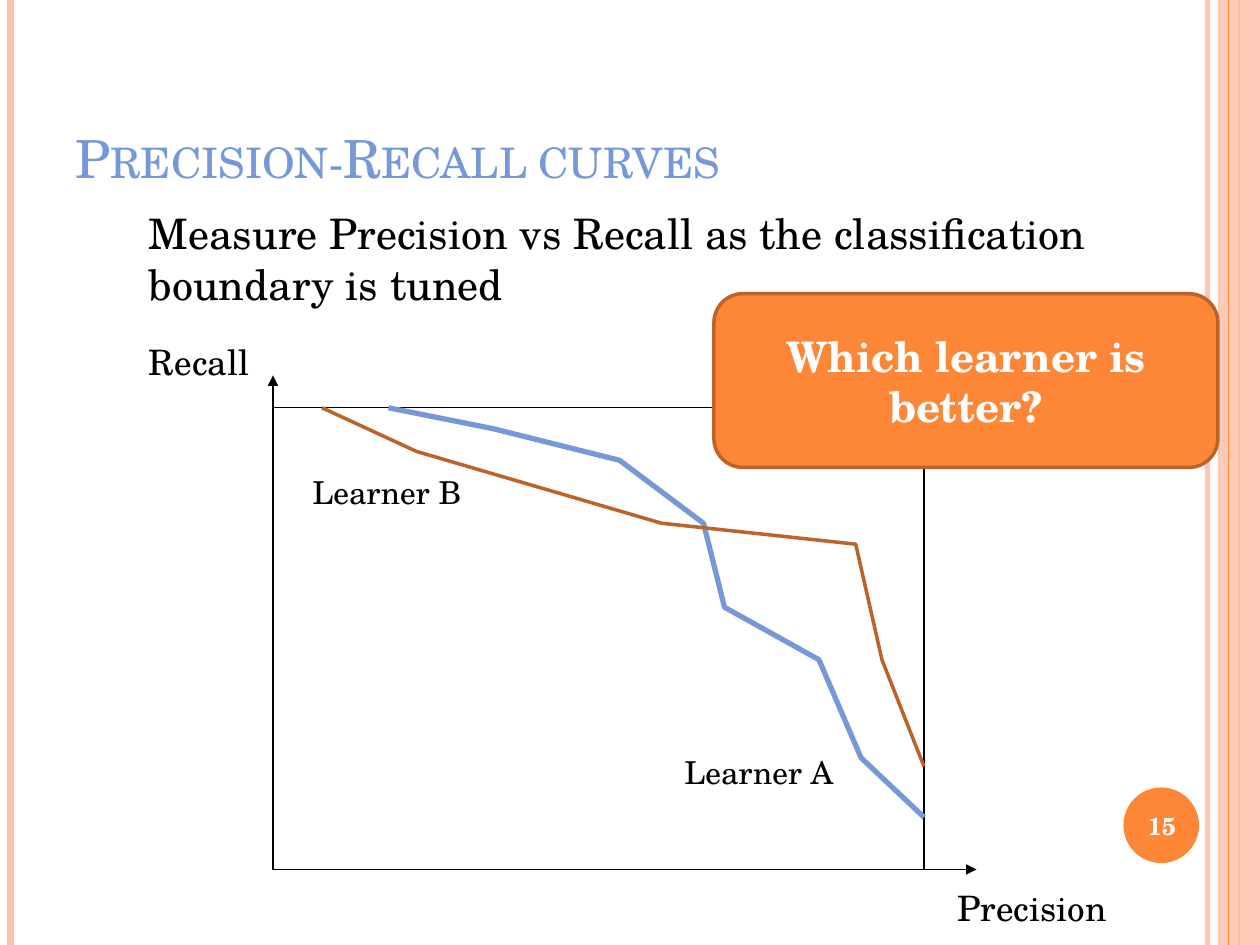
import pptx
import pptx.util
import pptx.dml.color
import pptx.enum.shapes
import pptx.enum.text
import pptx.oxml.ns
import pptx.oxml.xmlchemy

Pt = pptx.util.Pt
RGBColor = pptx.dml.color.RGBColor
MSO_SHAPE = pptx.enum.shapes.MSO_SHAPE
PP_ALIGN = pptx.enum.text.PP_ALIGN
MSO_ANCHOR = pptx.enum.text.MSO_ANCHOR
OxmlElement = pptx.oxml.xmlchemy.OxmlElement
qn = pptx.oxml.ns.qn

FONT = "TeX Gyre Schola"
BLACK = RGBColor(0x00, 0x00, 0x00)
WHITE = RGBColor(0xFF, 0xFF, 0xFF)
BLUE = RGBColor(0x75, 0x98, 0xD9)
ORANGE = RGBColor(0xFE, 0x86, 0x37)
PEACH = RGBColor(0xFE, 0xC3, 0xAE)
BROWN = RGBColor(0xBC, 0x63, 0x29)

presentation = pptx.Presentation()
presentation.slide_width = Pt(720)
presentation.slide_height = Pt(540)
slide = presentation.slides.add_slide(presentation.slide_layouts[5])
shapes = slide.shapes


def add_line(x1, y1, x2, y2, color, width):
    line = shapes.add_connector(
        pptx.enum.shapes.MSO_CONNECTOR.STRAIGHT, Pt(x1), Pt(y1), Pt(x2), Pt(y2))
    line.line.color.rgb = color
    line.line.width = Pt(width)
    line._element.spPr.append(OxmlElement("a:effectLst"))
    return line


def write_text(shape, text, size, color, bold=False, align=PP_ALIGN.LEFT,
               anchor=MSO_ANCHOR.TOP, wrap=True):
    frame = shape.text_frame
    frame.text = text
    frame.word_wrap = wrap
    frame.vertical_anchor = anchor
    paragraph = frame.paragraphs[0]
    paragraph.alignment = align
    font = paragraph.runs[0].font
    font.name, font.size, font.bold = FONT, Pt(size), bold
    font.color.rgb = color


# Side stripes
stripe = add_line(690, 0, 690, 540, PEACH, 3)
add_line(6, 0, 6, 540, PEACH, 4.5)
add_line(708, 0, 708, 540, ORANGE, 1.5)
band = shapes.add_shape(MSO_SHAPE.RECTANGLE, Pt(696), Pt(0), Pt(24), Pt(540))
band.shadow.inherit = False
band.fill.solid()
band.fill.fore_color.rgb = PEACH
band.line.fill.background()
add_line(702, 0, 702, 540, ORANGE, 0.75)

# Stripe transparency
for shape, opacity in ((stripe, 93000), (band, 87000)):
    color_element = next(shape._element.spPr.iter(qn("a:srgbClr")))
    alpha = OxmlElement("a:alpha")
    alpha.set("val", str(opacity))
    color_element.append(alpha)

# Slide number
badge = shapes.add_shape(MSO_SHAPE.OVAL, Pt(642), Pt(450), Pt(43.2), Pt(43.2))
badge.shadow.inherit = False
badge.fill.solid()
badge.fill.fore_color.rgb = ORANGE
badge.line.fill.background()
number = shapes.add_textbox(Pt(640), Pt(451.4), Pt(48), Pt(41))
write_text(number, "15", 14, WHITE, True, PP_ALIGN.CENTER, MSO_ANCHOR.MIDDLE)

# Title in small capitals
title = shapes.title
title.left, title.top, title.width, title.height = Pt(36), Pt(21.6), Pt(588), Pt(90)
write_text(title, "Precision-Recall curves", 30, BLUE, anchor=MSO_ANCHOR.BOTTOM)
title.text_frame.auto_size = pptx.enum.text.MSO_AUTO_SIZE.NONE
title.text_frame.paragraphs[0].runs[0]._r.get_or_add_rPr().set("cap", "small")

# Axes and plot frame
for x, y in ((558, 496.8), (156, 214.5)):
    axis = add_line(156, 496.8, x, y, BLACK, 0.75)
    arrowhead = OxmlElement("a:tailEnd")
    arrowhead.set("type", "triangle")
    axis._element.spPr.get_or_add_ln().append(arrowhead)
plot = shapes.add_shape(MSO_SHAPE.RECTANGLE, Pt(156), Pt(232.8), Pt(372), Pt(264))
plot.shadow.inherit = False
plot.fill.background()
plot.line.color.rgb = BLACK
plot.line.width = Pt(0.75)

# Learner curves
learner_a = [(222, 232.8), (282, 244.8), (354, 262.8), (402, 298.8),
             (414, 346.8), (468, 376.8), (492.2, 433.2), (528, 466.8)]
learner_b = [(528, 437.5), (504, 376.8), (488.6, 310.8), (378.5, 298.8),
             (237.8, 258.5), (183.6, 233.4)]
for points, color, width in ((learner_a, BLUE, 3), (learner_b, BROWN, 2)):
    builder = shapes.build_freeform(*points[0], scale=Pt(1))
    builder.add_line_segments(points[1:], close=False)
    curve = builder.convert_to_shape()
    curve.shadow.inherit = False
    curve.fill.background()
    curve.line.color.rgb = color
    curve.line.width = Pt(width)

# Description and labels
for text, left, top, width, height, size, wrap in (
    ("Precision", 540, 502.8, 126, 31, 20, True),
    ("Recall", 78, 190.8, 96, 31, 20, True),
    ("Measure Precision vs Recall as the classification boundary is tuned",
     78, 115.2, 564, 65.5, 24, True),
    ("Learner A", 384, 427, 100, 29, 18, False),
    ("Learner B", 171.4, 267, 100, 29, 18, False),
):
    label = shapes.add_textbox(Pt(left), Pt(top), Pt(width), Pt(height))
    write_text(label, text, size, BLACK, wrap=wrap)
    label.text_frame.auto_size = pptx.enum.text.MSO_AUTO_SIZE.SHAPE_TO_FIT_TEXT

# Question callout
question = shapes.add_shape(
    MSO_SHAPE.ROUNDED_RECTANGLE, Pt(408), Pt(167.8), Pt(288), Pt(99.3))
question.shadow.inherit = False
question.fill.solid()
question.fill.fore_color.rgb = ORANGE
question.line.color.rgb = BROWN
question.line.width = Pt(2)
write_text(question, "Which learner is better?", 24, WHITE, True,
           PP_ALIGN.CENTER, MSO_ANCHOR.MIDDLE)

presentation.save("out.pptx")
